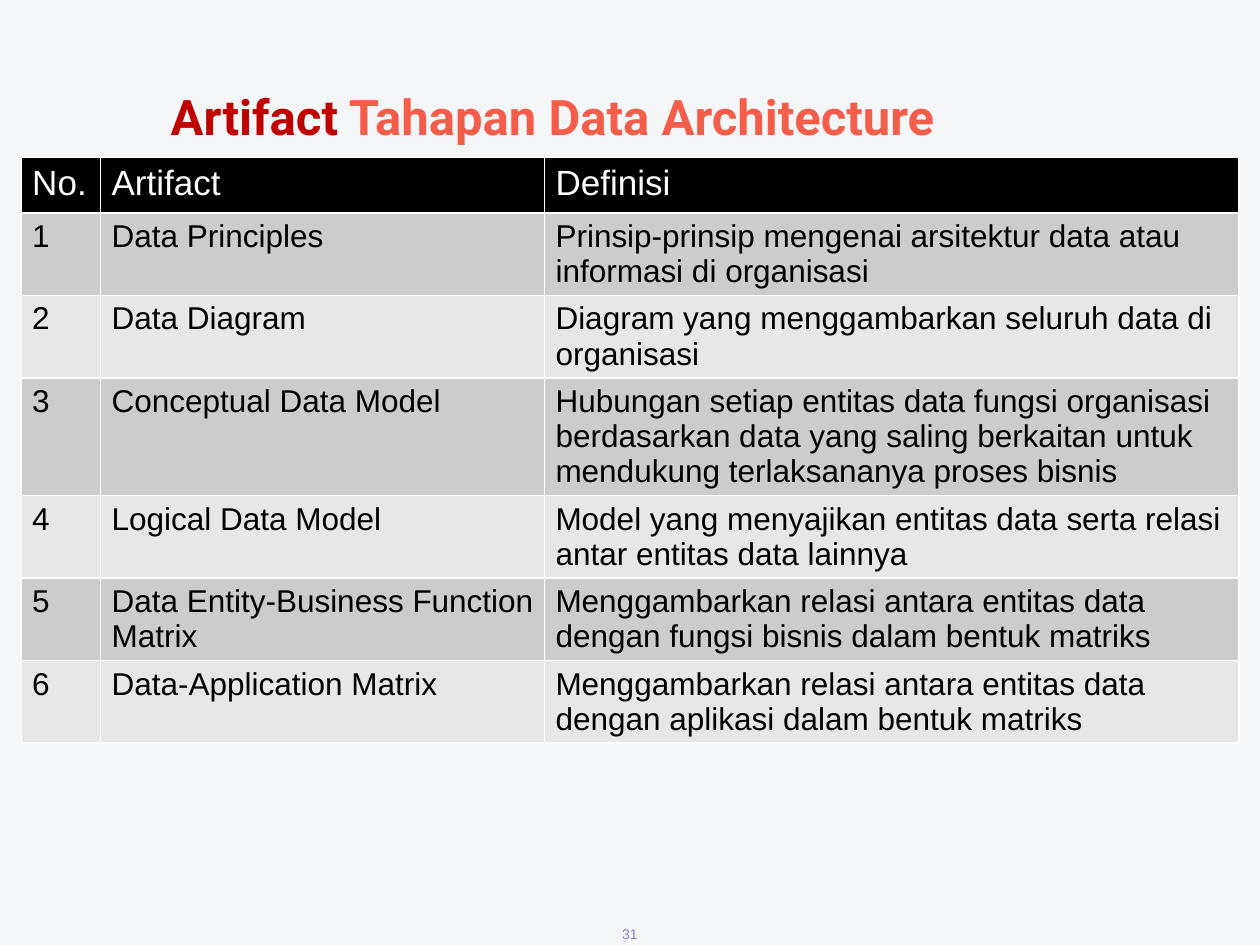
from lxml.etree import SubElement
from pptx import Presentation
from pptx.dml.color import RGBColor
from pptx.enum.text import MSO_ANCHOR, PP_ALIGN
from pptx.oxml.ns import qn
from pptx.util import Cm, Pt

COLORS = {
    "background": "F5F6F7",
    "title": "C00000",
    "title_accent": "F55D4B",
    "header": "000000",
    "odd_row": "CCCCCC",
    "even_row": "E7E7E7",
    "border": "FFFFFF",
    "header_text": "FFFFFF",
    "body_text": "000000",
    "page_number": "8B81D2",
}
ROWS = [
    ("No.", "Artifact", "Definisi"),
    ("1", "Data Principles", "Prinsip-prinsip mengenai arsitektur data atau informasi di organisasi"),
    ("2", "Data Diagram", "Diagram yang menggambarkan seluruh data di organisasi"),
    ("3", "Conceptual Data Model", "Hubungan setiap entitas data fungsi organisasi berdasarkan data "
     "yang saling berkaitan untuk mendukung terlaksananya proses bisnis"),
    ("4", "Logical Data Model", "Model yang menyajikan entitas data serta relasi antar entitas data lainnya"),
    ("5", "Data Entity-Business Function Matrix",
     "Menggambarkan relasi antara entitas data dengan fungsi bisnis dalam bentuk matriks"),
    ("6", "Data-Application Matrix",
     "Menggambarkan relasi antara entitas data dengan aplikasi dalam bentuk matriks"),
]
COLUMN_WIDTHS = [1.6, 8.95, 14.0]
ROW_HEIGHTS = [1.11, 1.55, 1.55, 2.18, 1.55, 1.55, 1.55]
CELL_MARGINS = {
    "margin_left": Cm(0.22), "margin_right": Cm(0.22),
    "margin_top": Cm(0.12), "margin_bottom": Cm(0.12),
}


def add_text(paragraph, text, color, **font_format):
    run = paragraph.add_run()
    run.text = text
    for name, value in font_format.items():
        setattr(run.font, name, value)
    run.font.color.rgb = RGBColor.from_string(COLORS[color])


def add_border(cell, side):
    line = SubElement(cell._tc.get_or_add_tcPr(), qn(f"a:ln{side}"), w=str(Pt(1)))
    fill = SubElement(line, qn("a:solidFill"))
    SubElement(fill, qn("a:srgbClr"), val=COLORS["border"])


presentation = Presentation()
presentation.slide_width = Cm(25.4)
presentation.slide_height = Cm(19.05)
slide = presentation.slides.add_slide(presentation.slide_layouts[5])
slide.background.fill.solid()
slide.background.fill.fore_color.rgb = RGBColor.from_string(COLORS["background"])

title = slide.shapes.title
title_place = {"left": Cm(2.03), "top": Cm(1.48), "width": Cm(18.21), "height": Cm(1.7)}
for name, value in title_place.items():
    setattr(title, name, value)
title_frame = {"vertical_anchor": MSO_ANCHOR.BOTTOM, "word_wrap": True}
title_frame.update({f"margin_{side}": Cm(0.25) for side in ("left", "top", "right", "bottom")})
for name, value in title_frame.items():
    setattr(title.text_frame, name, value)
paragraph = title.text_frame.paragraphs[0]
paragraph.alignment = PP_ALIGN.CENTER
for text, color in [("Artifact", "title"), (" Tahapan Data Architecture", "title_accent")]:
    add_text(paragraph, text, color, name="Roboto", size=Pt(28), bold=True)

table = slide.shapes.add_table(
    len(ROWS), len(COLUMN_WIDTHS), Cm(0.43), Cm(3.18),
    Cm(sum(COLUMN_WIDTHS)), Cm(sum(ROW_HEIGHTS)),
).table
for column, width in zip(table.columns, COLUMN_WIDTHS):
    column.width = Cm(width)
for row_index, (row, height, texts) in enumerate(zip(table.rows, ROW_HEIGHTS, ROWS)):
    row.height = Cm(height)
    is_header = row_index == 0
    fill_name = "header" if is_header else "odd_row" if row_index % 2 else "even_row"
    for cell, text in zip(row.cells, texts):
        for name, value in CELL_MARGINS.items():
            setattr(cell, name, value)
        for side in "LRTB":
            add_border(cell, side)
        cell.fill.solid()
        cell.fill.fore_color.rgb = RGBColor.from_string(COLORS[fill_name])
        add_text(
            cell.text_frame.paragraphs[0], text, "header_text" if is_header else "body_text",
            name="Arial", size=Pt(20 if is_header else 18), bold=False,
        )

page_number = slide.shapes.add_textbox(Cm(9.84), Cm(18.59), Cm(5.72), Cm(0.46))
number_frame = {"vertical_anchor": MSO_ANCHOR.MIDDLE, "word_wrap": True, "margin_top": 0, "margin_bottom": 0}
for name, value in number_frame.items():
    setattr(page_number.text_frame, name, value)
paragraph = page_number.text_frame.paragraphs[0]
paragraph.alignment = PP_ALIGN.CENTER
add_text(paragraph, "31", "page_number", name="Arial", size=Pt(8))

presentation.save("out.pptx")
